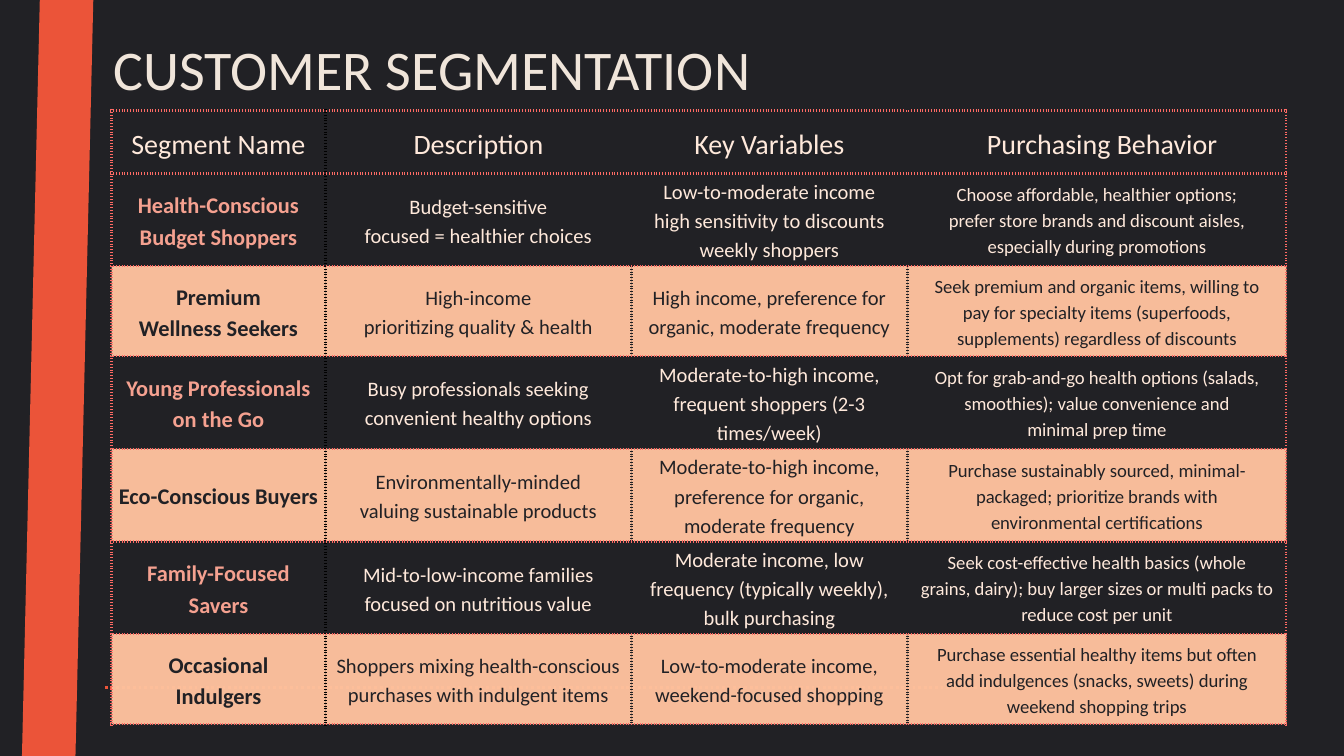
from dataclasses import dataclass

from lxml import etree
from pptx import Presentation
from pptx.dml.color import RGBColor
from pptx.enum import dml, shapes, text
from pptx.oxml import ns
from pptx.util import Pt


@dataclass(frozen=True)
class Theme:
    font: str = "Calibri"
    dark: str = "212125"
    accent: str = "EB5439"
    title: str = "F0E5DA"
    cream: str = "FFE9DB"
    peach: str = "FEC29E"
    salmon: str = "F5A190"
    rule: str = "FF6B65"
    black: str = "000000"
    title_size: float = 30
    head_size: float = 15
    column_sizes: tuple = (12, 11, 11, 10)
    line: float = 1.5
    spacing: float = 1.15
    peach_alpha: int = 97


T = Theme()
COLUMNS = (114.5, 164, 147.8, 203)
HEAD_HEIGHT, ROW_HEIGHT = 33.8, 48.2
HEADERS = ("Segment Name", "Description", "Key Variables", "Purchasing Behavior")
SEGMENTS = (
    ("Health-Conscious Budget Shoppers",
     "Budget-sensitive\nfocused = healthier choices",
     "Low-to-moderate income\nhigh sensitivity to discounts\nweekly shoppers",
     "Choose affordable, healthier options;\nprefer store brands and discount aisles,\n"
     "especially during promotions"),
    ("Premium\nWellness Seekers",
     "High-income\nprioritizing quality & health",
     "High income, preference for organic, moderate frequency",
     "Seek premium and organic items, willing to pay for specialty items "
     "(superfoods, supplements) regardless of discounts"),
    ("Young Professionals on the Go",
     "Busy professionals seeking\nconvenient healthy options",
     "Moderate-to-high income,\nfrequent shoppers (2-3 times/week)",
     "Opt for grab-and-go health options (salads, smoothies); value convenience and\n"
     "minimal prep time"),
    ("Eco-Conscious Buyers",
     "Environmentally-minded\nvaluing sustainable products",
     "Moderate-to-high income, preference for organic,\nmoderate frequency",
     "Purchase sustainably sourced, minimal-packaged; prioritize brands with "
     "environmental certifications"),
    ("Family-Focused Savers",
     "Mid-to-low-income families\nfocused on nutritious value",
     "Moderate income, low frequency (typically weekly), bulk purchasing",
     "Seek cost-effective health basics (whole grains, dairy); buy larger sizes or "
     "multi packs to reduce cost per unit"),
    ("Occasional\nIndulgers",
     "Shoppers mixing health-conscious purchases with indulgent items",
     "Low-to-moderate income, weekend-focused shopping",
     "Purchase essential healthy items but often add indulgences (snacks, sweets) "
     "during weekend shopping trips"),
)


def rgb(color):
    return RGBColor.from_string(color)


def add_run(p, words, size, color, bold=False):
    r = p.add_run()
    r.text = words
    r.font.name = T.font
    r.font.size = Pt(size)
    r.font.bold = bold
    r.font.color.rgb = rgb(color)


def set_margins(box, side, end):
    box.margin_left = box.margin_right = Pt(side)
    box.margin_top = box.margin_bottom = Pt(end)


def add_backdrop(s, width, height):
    s.background.fill.solid()
    s.background.fill.fore_color.rgb = rgb(T.dark)
    band = s.shapes.add_shape(
        shapes.MSO_SHAPE.PARALLELOGRAM, Pt(11.8), Pt(0), Pt(38.2), Pt(height))
    band.adjustments[0] = 0.25
    band.shadow.inherit = False
    band.fill.solid()
    band.fill.fore_color.rgb = rgb(T.accent)
    band.line.fill.background()
    y = Pt(height - 36.5)
    rule = s.shapes.add_connector(
        shapes.MSO_CONNECTOR.STRAIGHT, Pt(56.2), y, Pt(width - 56.9), y)
    rule.line.color.rgb = rgb(T.accent)
    rule.line.width = Pt(T.line)
    rule.line.dash_style = dml.MSO_LINE.ROUND_DOT
    etree.SubElement(rule._element.spPr, ns.qn("a:effectLst"))


def add_title(s, left, top, width, height):
    sp = s.shapes.title
    sp.left, sp.top, sp.width, sp.height = map(Pt, (left, top, width, height))
    tf = sp.text_frame
    tf.auto_size = text.MSO_AUTO_SIZE.NONE
    tf.vertical_anchor = text.MSO_ANCHOR.TOP
    tf.word_wrap = True
    set_margins(tf, 7.2, 7.2)
    p = tf.paragraphs[0]
    p.alignment = text.PP_ALIGN.LEFT
    add_run(p, "CUSTOMER SEGMENTATION", T.title_size, T.title)


def set_borders(cell, left, right):
    tc_pr = cell._tc.get_or_add_tcPr()
    for side, color in (("L", left), ("R", right), ("T", T.rule), ("B", T.rule)):
        ln = etree.SubElement(tc_pr, ns.qn(f"a:ln{side}"), w=str(Pt(T.line)))
        fill = etree.SubElement(ln, ns.qn("a:solidFill"))
        etree.SubElement(fill, ns.qn("a:srgbClr"), val=color)
        etree.SubElement(ln, ns.qn("a:prstDash"), val="dot")


def fill_cell(cell, color, alpha=100):
    cell.fill.solid()
    cell.fill.fore_color.rgb = rgb(color)
    if alpha < 100:
        clr = cell._tc.tcPr.find(".//" + ns.qn("a:solidFill") + "[last()]/"
                                 + ns.qn("a:srgbClr"))
        clr = cell._tc.tcPr.findall(ns.qn("a:solidFill"))[-1][0]
        etree.SubElement(clr, ns.qn("a:alpha"), val=str(alpha * 1000))


def write_cell(cell, words, size, color, bold):
    cell.vertical_anchor = text.MSO_ANCHOR.MIDDLE
    tf = cell.text_frame
    for i, words_line in enumerate(words.split("\n")):
        p = tf.add_paragraph() if i else tf.paragraphs[0]
        p.alignment = text.PP_ALIGN.CENTER
        p.line_spacing = T.spacing
        add_run(p, words_line, size, color, bold)


def add_segment_table(s, left, top):
    rows = (HEADERS,) + SEGMENTS
    heights = [HEAD_HEIGHT] + [ROW_HEIGHT] * len(SEGMENTS)
    table = s.shapes.add_table(
        len(rows), len(COLUMNS), Pt(left), Pt(top),
        Pt(sum(COLUMNS)), Pt(sum(heights))).table
    table.first_row = table.horz_banding = False
    for column, width in zip(table.columns, COLUMNS):
        column.width = Pt(width)
    for row, height in zip(table.rows, heights):
        row.height = Pt(height)
    edges = (T.rule, T.black, T.dark, T.dark, T.rule)
    last = len(COLUMNS) - 1
    for i, row in enumerate(rows):
        header, shaded = i == 0, i > 0 and i % 2 == 0
        for j, words in enumerate(row):
            cell = table.cell(i, j)
            set_margins(cell, 7.2 if j == last and not header else 2, 1.44)
            set_borders(cell, edges[j], edges[j + 1])
            name = j == 0 and not header
            color = T.dark if shaded else T.salmon if name else T.cream
            size = T.head_size if header else T.column_sizes[j]
            write_cell(cell, words, size, color, name)
            if shaded:
                fill_cell(cell, T.peach, T.peach_alpha)
            else:
                fill_cell(cell, T.dark)
    p_pr = table.cell(0, last).text_frame.paragraphs[0]._p.get_or_add_pPr()
    p_pr.set("marL", str(Pt(5)))
    p_pr.set("indent", str(Pt(0.7)))


def main():
    width, height = 720, 405
    prs = Presentation()
    prs.slide_width, prs.slide_height = Pt(width), Pt(height)
    s = prs.slides.add_slide(prs.slide_layouts[5])
    add_backdrop(s, width, height)
    add_title(s, 53.8, 11.5, 709, 39.6)
    add_segment_table(s, 59.8, 59.2)
    prs.save("out.pptx")


if __name__ == "__main__":
    main()
